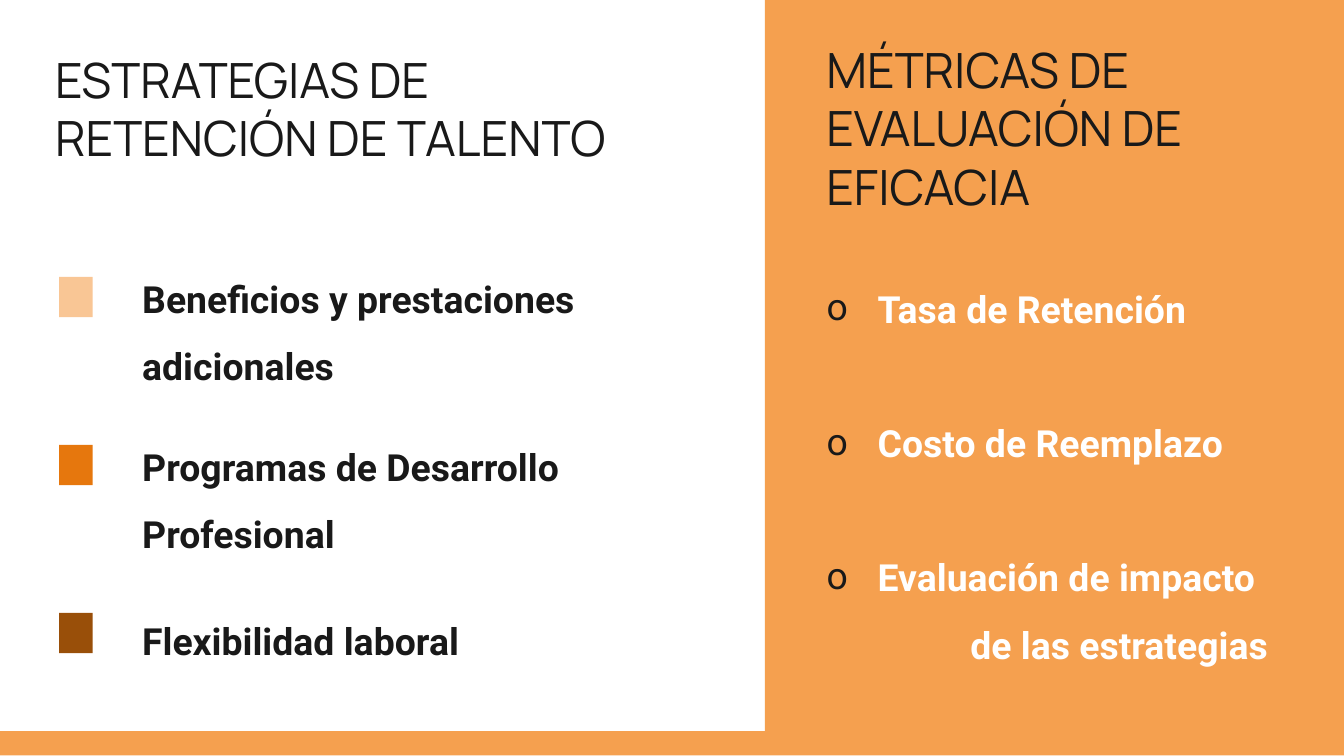
"""Build the slide on talent retention strategies and their metrics."""
from lxml.etree import SubElement
from pptx import Presentation
from pptx.dml.color import RGBColor
from pptx.enum.shapes import MSO_SHAPE
from pptx.enum.text import MSO_ANCHOR as ANCHOR, MSO_AUTO_SIZE as AUTO_SIZE, PP_ALIGN as ALIGN
from pptx.oxml.ns import qn
from pptx.util import Inches, Pt

INK, WHITE, ORANGE = "191919", "FFFFFF", "F5A04F"
STRATEGIES_TITLE = "ESTRATEGIAS DE RETENCIÓN DE TALENTO"
METRICS_TITLE = "MÉTRICAS DE EVALUACIÓN DE EFICACIA"
STRATEGIES = [
    ("Beneficios y prestaciones adicionales", "F9C695", 1.06),
    ("Programas de Desarrollo Profesional", "E6770D", 1.06),
    ("Flexibilidad laboral", "994F09", 0.6),
]
METRICS = [
    ("Tasa de Retención", True),
    ("Costo de Reemplazo", True),
    ("Evaluación de impacto", True),
    ("de las estrategias", False),
]
PANELS = [(0, 5.44, 10, 0.18), (5.69, 0, 4.31, 5.46)]
MARKER_TOP, ROW_PITCH = 2.06, 1.25


def rgb(value):
    return RGBColor.from_string(value)


def place(shape, left, top, width, height):
    shape.left, shape.top = Inches(left), Inches(top)
    shape.width, shape.height = Inches(width), Inches(height)


def block(slide, color, *box):
    rectangle = slide.shapes.add_shape(MSO_SHAPE.RECTANGLE, *map(Inches, box))
    rectangle.shadow.inherit = False
    rectangle.fill.solid()
    rectangle.fill.fore_color.rgb = rgb(color)
    rectangle.line.fill.background()


def prepare(shape, anchor, *box):
    place(shape, *box)
    frame = shape.text_frame
    frame.word_wrap, frame.auto_size = True, AUTO_SIZE.NONE
    frame.vertical_anchor = anchor
    frame.margin_left = frame.margin_right = Inches(0.1)
    frame.margin_top = frame.margin_bottom = Inches(0.1)
    return frame


def style(paragraph, font, size, color, bold=False, spacing=1.0, before=0):
    paragraph.alignment = ALIGN.LEFT
    paragraph.line_spacing, paragraph.space_before = spacing, Pt(before)
    paragraph.font.name, paragraph.font.size = font, Pt(size)
    paragraph.font.bold, paragraph.font.color.rgb = bold, rgb(color)


def heading(shape, text, *box):
    frame = prepare(shape, ANCHOR.TOP, *box)
    frame.text = text
    style(frame.paragraphs[0], "Manrope", 26, INK)


def indent(paragraph, bulleted):
    props = paragraph._p.get_or_add_pPr()
    props.set("marL", str(Inches(0.38 if bulleted else 1.07)))
    props.set("indent", str(Inches(-0.38 if bulleted else 0)))
    if bulleted:
        SubElement(SubElement(props, qn("a:buClr")), qn("a:srgbClr"), val=INK)
        SubElement(props, qn("a:buFont"), typeface="Roboto")
        SubElement(props, qn("a:buChar"), char="o")
    else:
        SubElement(props, qn("a:buNone"))


def main():
    deck = Presentation()
    deck.slide_width = Inches(10)
    deck.slide_height = deck.slide_width * 9 // 16
    slide = deck.slides.add_slide(deck.slide_layouts[1])
    title, metrics = slide.placeholders

    for box in PANELS:
        block(slide, ORANGE, *box)
    for placeholder in (title, metrics):
        slide.shapes._spTree.append(placeholder._element)

    heading(title, STRATEGIES_TITLE, 0.31, 0.27, 4.8, 1.08)
    metrics_title = slide.shapes.add_textbox(0, 0, 0, 0)
    heading(metrics_title, METRICS_TITLE, 6.05, 0.2, 3.73, 1.23)

    for row, (strategy, color, height) in enumerate(STRATEGIES):
        top = MARKER_TOP + row * ROW_PITCH
        block(slide, color, 0.44, top, 0.25, 0.3)
        label = slide.shapes.add_textbox(0, 0, 0, 0)
        frame = prepare(label, ANCHOR.BOTTOM, 0.96, top - 0.13, 3.6, height)
        frame.text = strategy
        style(frame.paragraphs[0], "Roboto", 20, INK, True, 1.5)

    frame = prepare(metrics, ANCHOR.BOTTOM, 6.05, 1.81, 3.59, 3.25)
    frame.text = "\n".join(text for text, _ in METRICS)
    for row, (paragraph, (_, bulleted)) in enumerate(zip(frame.paragraphs, METRICS)):
        indent(paragraph, bulleted)
        style(paragraph, "Roboto", 20, WHITE, True, 1.5, 36 if row and bulleted else 0)

    deck.save("out.pptx")


if __name__ == "__main__":
    main()
